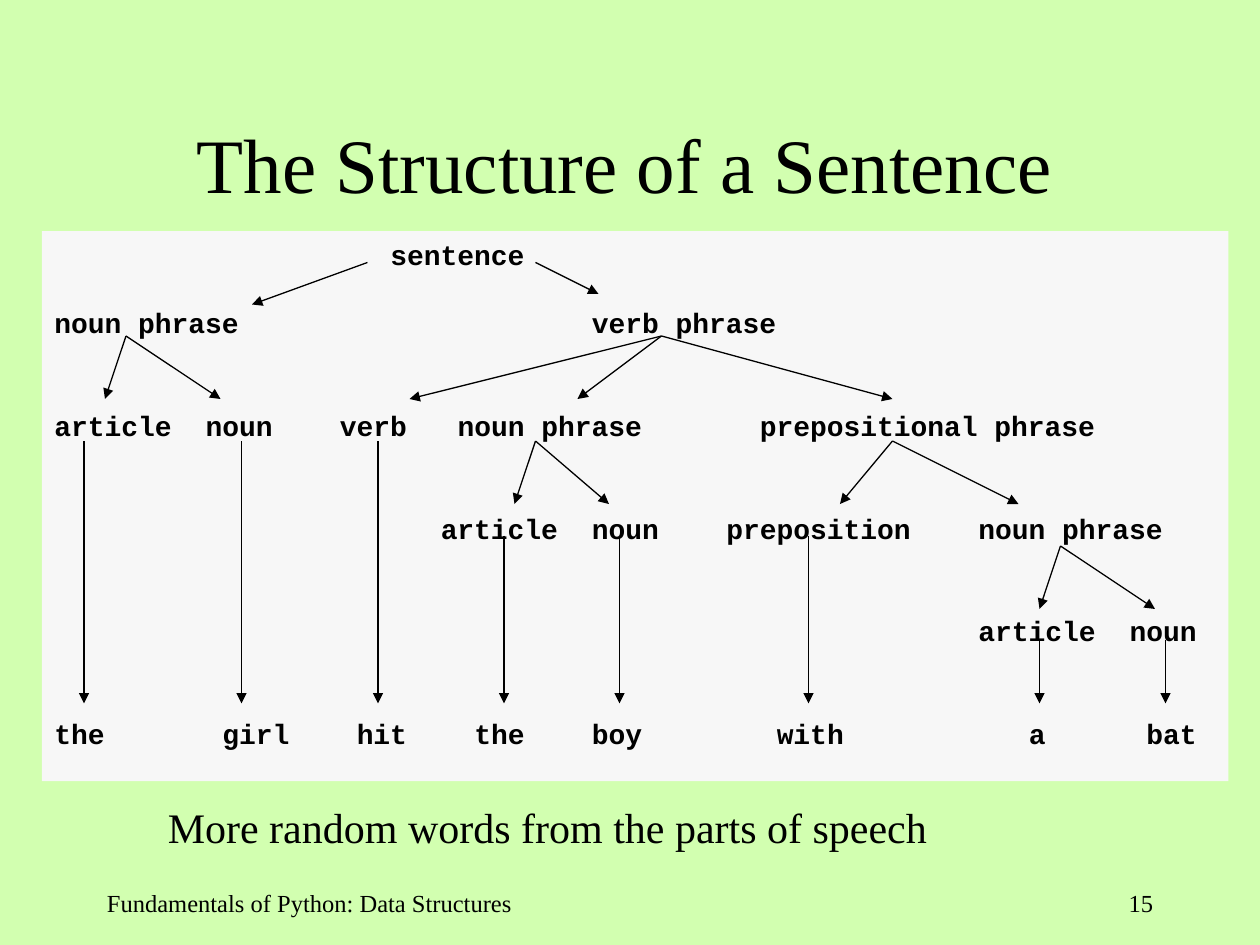
from lxml import etree
from pptx import Presentation
from pptx.dml.color import RGBColor
from pptx.enum.shapes import MSO_CONNECTOR, MSO_SHAPE
from pptx.enum.text import MSO_ANCHOR, PP_ALIGN
from pptx.oxml.ns import qn
from pptx.util import Inches, Pt

STRAIGHT, RECTANGLE = MSO_CONNECTOR.STRAIGHT, MSO_SHAPE.RECTANGLE
TOP, MIDDLE = MSO_ANCHOR.TOP, MSO_ANCHOR.MIDDLE
LEFT, CENTER, RIGHT = PP_ALIGN.LEFT, PP_ALIGN.CENTER, PP_ALIGN.RIGHT

UNIT = Inches(1) // 12          # grid step for all boxes and arrows
LETTER = Pt(9.6)                # advance of one 16 pt monospaced letter
BACKGROUND, PANEL, INK = "D2FFB0", "F7F7F7", "000000"
SERIF = {"name": "Times New Roman", "bold": False}
MONO = {"name": "Courier New", "size": Pt(16), "bold": True}

# Each row: space above in points, then words keyed by letter column
WORD_ROWS = [
    (0, {20: "sentence"}),
    (20, {0: "noun phrase", 32: "verb phrase"}),
    (39.5, {0: "article", 9: "noun", 17: "verb", 24: "noun phrase",
            42: "prepositional phrase"}),
    (39.5, {23: "article", 32: "noun", 40: "preposition", 55: "noun phrase"}),
    (39.5, {55: "article", 64: "noun"}),
    (39.5, {0: "the", 10: "girl", 18: "hit", 25: "the", 32: "boy",
            43: "with", 58: "a", 65: "bat"}),
]

# Grid columns and rows inside the panel: start, then the ends it branches to
SENTENCE_BRANCHES = [((31, 3), (20, 7)), ((47, 3), (53, 6))]
PHRASE_BRANCHES = [
    (8, 10, (6, 17)), (59, 10, (35, 51, 81)),
    (47, 20, (45, 54)), (81, 20, (76, 93)), (97, 30, (95, 106)),
]
BRANCH_DROP = 6
WORD_ARROWS = {20: (4, 19, 32), 29: (44, 55, 73), 39: (95, 107)}
WORD_ROW = 45


def color(hex_string):
    return RGBColor.from_string(hex_string)


def set_font(run, font_format):
    for attribute, value in font_format.items():
        setattr(run.font, attribute, value)
    run.font.color.rgb = color(INK)


def add_text(slide, box, text, size, align=LEFT, anchor=TOP):
    frame = slide.shapes.add_textbox(*(round(n * UNIT) for n in box)).text_frame
    frame.word_wrap = True
    frame.vertical_anchor = anchor
    line = frame.paragraphs[0]
    line.alignment = align
    run = line.add_run()
    run.text = text
    set_font(run, {**SERIF, "size": Pt(size)})


def add_arrow(slide, box, start, end):
    left, top = box[:2]
    points = [round((offset + n) * UNIT)
              for point in (start, end) for offset, n in zip((left, top), point)]
    arrow = slide.shapes.add_connector(STRAIGHT, *points)
    arrow.line.color.rgb = color(INK)
    arrow.line.width = Pt(0.75)
    etree.SubElement(arrow.line._get_or_add_ln(), qn("a:tailEnd"), type="triangle")
    etree.SubElement(arrow._element.spPr, qn("a:effectLst"))


def add_word_row(line, gap, words):
    """Set the words of one tree level at tab stops on their letter columns."""
    line.alignment = LEFT
    line.space_before = Pt(gap)
    tab_list = etree.SubElement(line._p.get_or_add_pPr(), qn("a:tabLst"))
    for column in filter(None, words):
        etree.SubElement(tab_list, qn("a:tab"), pos=str(column * LETTER), algn="l")
    run = line.add_run()
    run.text = ("" if 0 in words else "\t") + "\t".join(words.values())
    set_font(run, MONO)


def add_word_panel(slide, box):
    panel = slide.shapes.add_shape(RECTANGLE, *(round(n * UNIT) for n in box))
    panel.shadow.inherit = False
    panel.fill.solid()
    panel.fill.fore_color.rgb = color(PANEL)
    panel.line.fill.background()
    frame = panel.text_frame
    frame.word_wrap = True
    frame.vertical_anchor = TOP
    for index, (gap, words) in enumerate(WORD_ROWS):
        line = frame.add_paragraph() if index else frame.paragraphs[0]
        add_word_row(line, gap, words)


def add_sentence_tree(slide, box):
    add_word_panel(slide, box)
    for start, end in SENTENCE_BRANCHES:
        add_arrow(slide, box, start, end)
    for column, row, targets in PHRASE_BRANCHES:
        for target in targets:
            add_arrow(slide, box, (column, row), (target, row + BRANCH_DROP))
    for row, columns in WORD_ARROWS.items():
        for column in columns:
            add_arrow(slide, box, (column, row), (column, WORD_ROW))


def add_footer(slide, box):
    left, top, width, height = box
    add_text(slide, (left, top, 45, height),
             "Fundamentals of Python: Data Structures", 14)
    add_text(slide, (left + width - 25, top, 25, height), "15", 14, RIGHT)


def main():
    deck = Presentation()
    deck.slide_width, deck.slide_height = 120 * UNIT, 90 * UNIT
    slide = deck.slides.add_slide(deck.slide_layouts[6])
    slide.background.fill.solid()
    slide.background.fill.fore_color.rgb = color(BACKGROUND)

    add_text(slide, (4, 8, 111, 15), "The Structure of a Sentence", 44,
             CENTER, MIDDLE)
    add_sentence_tree(slide, (4, 22, 113, 52.4))
    add_text(slide, (14.8, 75.7, 101.2, 6),
             "More random words from the parts of speech", 24)
    add_footer(slide, (9, 84, 102, 6))
    deck.save("out.pptx")


if __name__ == "__main__":
    main()
